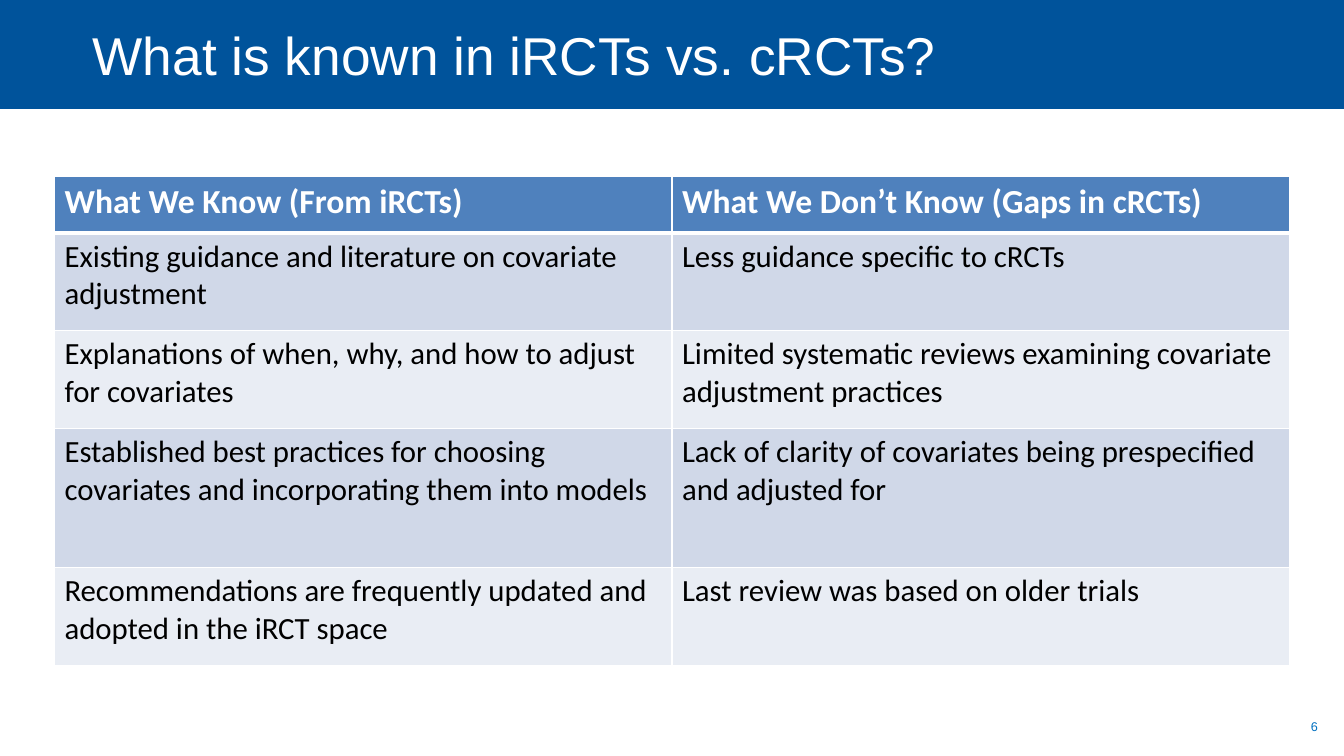
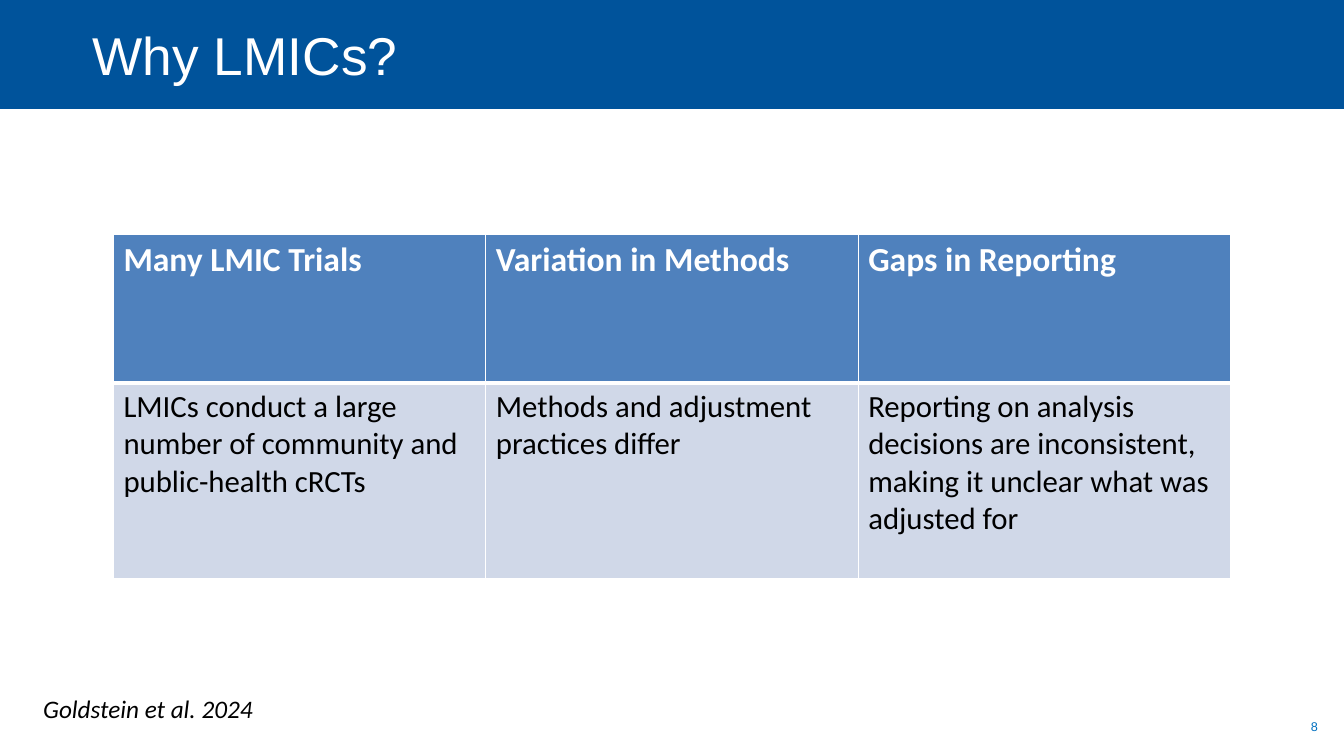
from dataclasses import dataclass

from lxml.etree import SubElement
from pptx import Presentation
from pptx.dml.color import RGBColor
from pptx.enum.shapes import MSO_SHAPE
from pptx.enum.text import MSO_ANCHOR, PP_ALIGN
from pptx.oxml.ns import qn
from pptx.util import Inches, Pt


@dataclass(frozen=True)
class Theme:
    band: str = "00539B"
    header: str = "4F81BD"
    stripes: tuple = ("D0D8E8", "E9EDF4")
    white: str = "FFFFFF"
    black: str = "000000"
    number: str = "0070C0"
    title_font: str = "Arial"
    body_font: str = "Calibri"
    title_size: int = 38
    header_size: int = 24
    body_size: int = 22
    citation_size: int = 18
    number_size: int = 9
    thin_rule: int = 1
    thick_rule: int = 3


THEME = Theme()
SLIDE_WIDTH, SLIDE_HEIGHT = 13.33, 7.5
BAND_HEIGHT = 1.08


def write_text(frame, text, *, size, color, font=THEME.body_font, bold=False,
               italic=False, align=PP_ALIGN.LEFT):
    frame.word_wrap = True
    paragraph = frame.paragraphs[0]
    paragraph.alignment = align
    run = paragraph.add_run()
    run.text = text
    run.font.name = font
    run.font.size = Pt(size)
    run.font.bold = bold
    run.font.italic = italic
    run.font.color.rgb = RGBColor.from_string(color)


def add_text(slide, text, left, top, width, height, **text_format):
    box = slide.shapes.add_textbox(
        Inches(left), Inches(top), Inches(width), Inches(height))
    write_text(box.text_frame, text, **text_format)
    return box.text_frame


def add_band(slide):
    band = slide.shapes.add_shape(
        MSO_SHAPE.RECTANGLE, 0, 0, Inches(SLIDE_WIDTH), Inches(BAND_HEIGHT))
    band.shadow.inherit = False
    band.fill.solid()
    band.fill.fore_color.rgb = RGBColor.from_string(THEME.band)
    band.line.fill.background()


def add_title(slide, title):
    frame = add_text(slide, title, 0.92, 0, 11.58, BAND_HEIGHT,
                     font=THEME.title_font, size=THEME.title_size,
                     color=THEME.white)
    frame.vertical_anchor = MSO_ANCHOR.MIDDLE
    frame.margin_left = frame.margin_right = 0
    frame.margin_top = frame.margin_bottom = 0


def add_titled_slide(presentation, title, number):
    slide = presentation.slides.add_slide(presentation.slide_layouts[6])
    add_band(slide)
    add_text(slide, str(number), 11.92, 7.08, 1.25, 0.25,
             font=THEME.title_font, size=THEME.number_size,
             color=THEME.number, align=PP_ALIGN.RIGHT)
    add_title(slide, title)
    return slide


def set_borders(cell, top, bottom):
    """Draw white borders; the lines must precede the fill in the cell XML."""
    properties = cell._tc.get_or_add_tcPr()
    widths = {"L": THEME.thin_rule, "R": THEME.thin_rule, "T": top, "B": bottom}
    for position, (side, width) in enumerate(widths.items()):
        line = SubElement(properties, qn(f"a:ln{side}"), w=str(Pt(width)))
        fill = SubElement(line, qn("a:solidFill"))
        SubElement(fill, qn("a:srgbClr"), val=THEME.white)
        properties.insert(position, line)


def format_cell(cell, text, row_index):
    is_header = row_index == 0
    fill_color = THEME.header if is_header else THEME.stripes[(row_index - 1) % 2]
    cell.fill.solid()
    cell.fill.fore_color.rgb = RGBColor.from_string(fill_color)
    set_borders(cell,
                top=THEME.thick_rule if row_index == 1 else THEME.thin_rule,
                bottom=THEME.thick_rule if is_header else THEME.thin_rule)
    write_text(cell.text_frame, text, bold=is_header,
               size=THEME.header_size if is_header else THEME.body_size,
               color=THEME.white if is_header else THEME.black)


def add_striped_table(slide, rows, top, width, row_heights):
    """Add a horizontally centred table with equal columns."""
    column_count = len(rows[0])
    table = slide.shapes.add_table(
        len(rows), column_count, Inches((SLIDE_WIDTH - width) / 2),
        Inches(top), Inches(width), Inches(sum(row_heights))).table
    for column in table.columns:
        column.width = Inches(width / column_count)
    for row_index, (texts, height) in enumerate(zip(rows, row_heights)):
        table.rows[row_index].height = Inches(height)
        for column_index, text in enumerate(texts):
            format_cell(table.cell(row_index, column_index), text, row_index)


def add_known_slide(presentation):
    slide = add_titled_slide(
        presentation, "What is known in iRCTs vs. cRCTs?", 6)
    rows = [
        ("What We Know (From iRCTs)", "What We Don’t Know (Gaps in cRCTs)"),
        ("Existing guidance and literature on covariate adjustment",
         "Less guidance specific to cRCTs"),
        ("Explanations of when, why, and how to adjust for covariates",
         "Limited systematic reviews examining covariate adjustment practices"),
        ("Established best practices for choosing covariates and "
         "incorporating them into models",
         "Lack of clarity of covariates being prespecified and adjusted for"),
        ("Recommendations are frequently updated and adopted in the iRCT space",
         "Last review was based on older trials"),
    ]
    add_striped_table(slide, rows, top=1.75, width=12.25,
                      row_heights=(0.56, 0.97, 0.97, 1.38, 0.97))


def add_reasons_slide(presentation):
    slide = add_titled_slide(presentation, "Why LMICs?", 8)
    rows = [
        ("Many LMIC Trials", "Variation in Methods", "Gaps in Reporting"),
        ("LMICs conduct a large number of community and public-health cRCTs",
         "Methods and adjustment practices differ",
         "Reporting on analysis decisions are inconsistent, making it unclear "
         "what was adjusted for"),
    ]
    add_striped_table(slide, rows, top=2.33, width=11.08,
                      row_heights=(1.47, 1.94))
    add_text(slide, "Goldstein et al. 2024", 0.33, 6.83, 3.33, 0.4,
             size=THEME.citation_size, color=THEME.black, italic=True)


def main():
    presentation = Presentation()
    presentation.slide_width = Inches(SLIDE_WIDTH)
    presentation.slide_height = Inches(SLIDE_HEIGHT)
    add_known_slide(presentation)
    add_reasons_slide(presentation)
    presentation.save("out.pptx")


if __name__ == "__main__":
    main()
